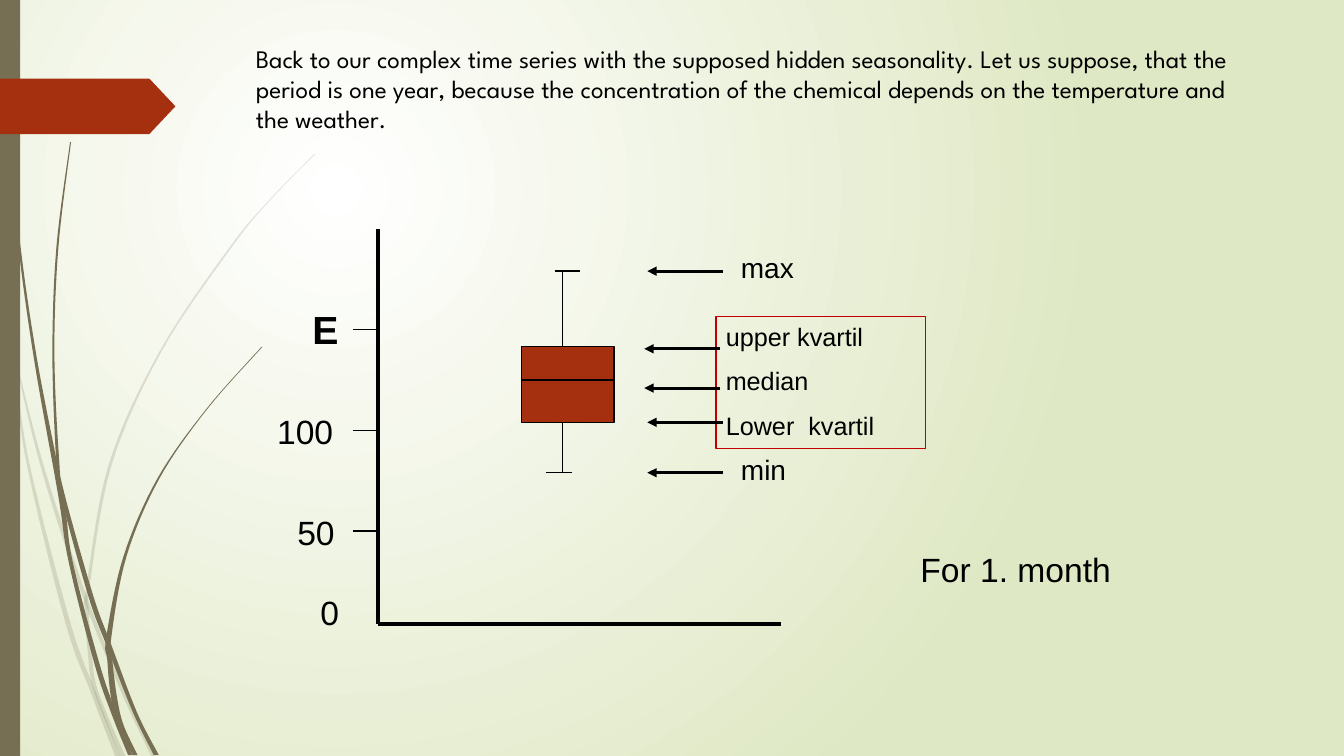
"""Build a slide that explains a box plot for the first month of a time series."""
from lxml import etree
from pptx import Presentation
from pptx.dml.color import RGBColor
from pptx.enum.shapes import MSO_CONNECTOR, MSO_SHAPE
from pptx.enum.text import MSO_ANCHOR
from pptx.oxml.ns import qn
from pptx.util import Pt

PX = 9144
STRAIGHT = MSO_CONNECTOR.STRAIGHT
RECTANGLE = MSO_SHAPE.RECTANGLE
TAG = MSO_SHAPE.PENTAGON
TOP = MSO_ANCHOR.TOP
COLORS = {"ink": "000000", "olive": "766F54", "rust": "A53010",
          "frame": "C00000", "glow": "FFFFFF", "leaf": "DFE8C4"}
RGB = {name: RGBColor.from_string(value) for name, value in COLORS.items()}

prs = Presentation()
prs.slide_width, prs.slide_height = 1333 * PX, 750 * PX
slide = prs.slides.add_slide(prs.slide_layouts[6])
shapes = slide.shapes


def add_line(x1, y1, x2, y2, weight=1):
    line = shapes.add_connector(STRAIGHT, x1 * PX, y1 * PX, x2 * PX, y2 * PX)
    line.line.color.rgb = RGB["ink"]
    line.line.width = Pt(weight)
    etree.SubElement(line._element.spPr, qn("a:effectLst"))
    return line


def write(shape, lines, size, font="Arial", bold=False):
    frame = shape.text_frame
    frame.word_wrap = True
    frame.vertical_anchor = TOP
    frame.text = "\n".join(lines)
    for index, paragraph in enumerate(frame.paragraphs):
        paragraph.font.name = font
        paragraph.font.size = Pt(size)
        paragraph.font.bold = bold
        paragraph.font.color.rgb = RGB["ink"]
        paragraph.alignment = 1
        if index:
            paragraph.space_before = Pt(10)


backdrop = slide.background.fill
backdrop.gradient()
for stop, name in zip(backdrop.gradient_stops, ("glow", "leaf")):
    stop.color.rgb = RGB[name]
gradient = slide.background._cSld.find(".//" + qn("a:gradFill"))
gradient.remove(gradient.find(qn("a:lin")))
radial = etree.SubElement(gradient, qn("a:path"), path="circle")
etree.SubElement(radial, qn("a:fillToRect"), l="50000", t="50000", r="100000", b="100000")

pale_stems = [
    [(0, 290, 1), (10, 335, 2), (17, 390, 2), (30, 470, 3), (68, 620, 5),
     (93, 688, 5), (117, 751, 5)],
    [(15, 355, 1), (37, 445, 3), (60, 521, 4), (90, 608, 4), (125, 693, 4), (153, 751, 5)],
    [(312, 153, 1), (268, 198, 1), (229, 245, 2), (159, 349, 2), (109, 462, 3),
     (87, 584, 3), (86, 605, 4), (89, 646, 4), (95, 685, 4), (122, 751, 5)],
]
dark_stems = [
    [(4, 0, 1), (8, 110, 1), (18, 233, 2), (35, 355, 3), (60, 490, 5),
     (70, 557, 4), (96, 658, 5), (113, 708, 5), (129, 749, 4)],
    [(70, 141, 1), (57, 245, 2), (53, 349, 2), (57, 453, 3), (62, 490, 4),
     (90, 591, 5), (108, 640, 5), (134, 707, 4), (155, 749, 5)],
    [(260, 344, 1), (205, 406, 1), (157, 475, 2), (124, 552, 3), (108, 632, 5),
     (109, 655, 5), (113, 691, 6), (120, 719, 5), (134, 749, 5)],
]
STEPS = 8
for stems, opacity in ((pale_stems, 20), (dark_stems, 100)):
    for stem in stems:
        padded = [stem[0], *stem, stem[-1]]
        spine = [stem[0]]
        for a, b, c, d in zip(padded, padded[1:], padded[2:], padded[3:]):
            for step in range(1, STEPS + 1):
                t = step / STEPS
                spine.append([
                    q + t * ((r - p) + t * ((2 * p - 5 * q + 4 * r - s)
                                            + t * (3 * q - p - 3 * r + s))) / 2
                    for p, q, r, s in zip(a, b, c, d)])
        left_edge = [((x - w / 2) * PX, y * PX) for x, y, w in spine]
        right_edge = [((x + w / 2) * PX, y * PX) for x, y, w in reversed(spine)]
        outline = shapes.build_freeform(*left_edge[0])
        outline.add_line_segments(left_edge[1:] + right_edge)
        blade = outline.convert_to_shape()
        blade.shadow.inherit = False
        blade.line.fill.background()
        blade.fill.solid()
        blade.fill.fore_color.rgb = RGB["olive"]
        if opacity < 100:
            tint = blade._element.spPr.find(".//" + qn("a:srgbClr"))
            etree.SubElement(tint, qn("a:alpha"), val=str(opacity * 1000))

for kind, left, top, width, height, fill, border in (
        (RECTANGLE, 0, 0, 20, 750, "olive", None),
        (TAG, 0, 78, 174, 55, "rust", None),
        (RECTANGLE, 517, 344, 92, 75, "rust", "ink"),
        (RECTANGLE, 710, 314, 208, 131, None, "frame")):
    block = shapes.add_shape(kind, left * PX, top * PX, width * PX, height * PX)
    block.shadow.inherit = False
    if kind == TAG:
        block.adjustments[0] = 0.47
    if fill:
        block.fill.solid()
        block.fill.fore_color.rgb = RGB[fill]
    else:
        block.fill.background()
    if border:
        block.line.color.rgb = RGB[border]
        block.line.width = Pt(1)
    else:
        block.line.fill.background()
quartile_labels = block
write(quartile_labels, ["upper kvartil", "median", "Lower  kvartil"], 18)

add_line(375, 227, 375, 619, 3)
add_line(375, 619, 775, 619, 3)
for tick in range(327, 528, 100):
    add_line(350, tick, 375, tick)

for whisker_and_median in ((558, 269, 558, 344), (550, 269, 575, 269),
                           (558, 419, 558, 469), (542, 469, 567, 469),
                           (517, 377, 609, 377)):
    add_line(*whisker_and_median)

for x, y in ((717, 269), (714, 346), (714, 385), (717, 419), (717, 469)):
    pointer = add_line(x, y, x - 75, y, 2.25)
    etree.SubElement(pointer.line._get_or_add_ln(), qn("a:tailEnd"), type="triangle")

intro = ("Back to our complex time series with the supposed hidden seasonality. "
         "Let us suppose, that the period is one year, because the concentration of "
         "the chemical depends on the temperature and the weather.")
for text, left, top, width, height, size, font, bold in (
        ("E", 300, 298, 50, 57, 28, "Arial", True),
        ("100", 265, 403, 92, 50, 24, "Arial", False),
        ("50", 285, 503, 58, 50, 24, "Arial", False),
        ("0", 308, 582, 75, 50, 24, "Arial", False),
        ("max", 725, 244, 133, 43, 20, "Arial", False),
        ("min", 725, 444, 142, 43, 20, "Arial", False),
        ("For 1. month", 903, 540, 245, 50, 24, "Arial", False),
        (intro, 244, 38, 1013, 101, 18, "League Spartan", False)):
    label = shapes.add_textbox(left * PX, top * PX, width * PX, height * PX)
    write(label, [text], size, font, bold)

prs.save("out.pptx")
